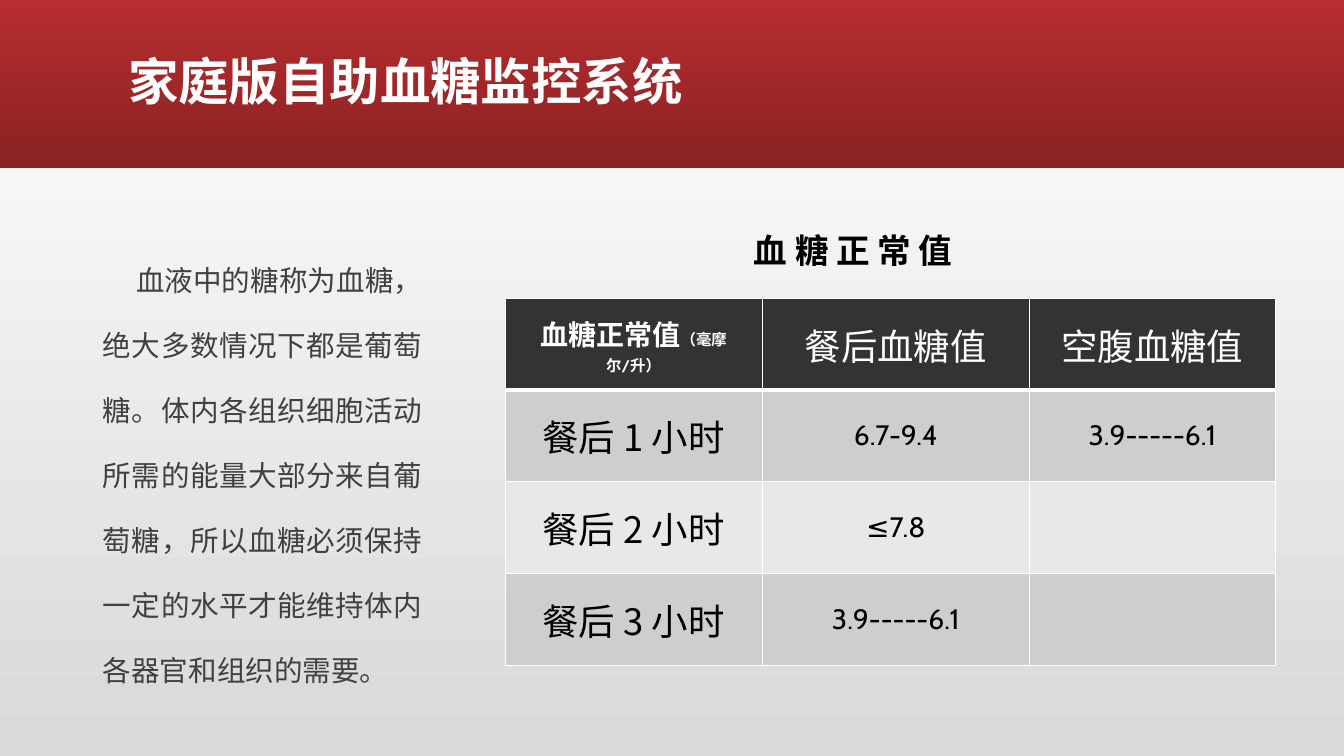
"""Build a slide on normal blood sugar values with a text column and a table."""
from lxml.etree import SubElement
from pptx import Presentation
from pptx.dml.color import RGBColor
from pptx.enum.shapes import MSO_SHAPE
from pptx.enum.text import MSO_ANCHOR, MSO_AUTO_SIZE, PP_ALIGN
from pptx.oxml.ns import qn
from pptx.util import Inches, Pt

CHINESE = "Noto Sans CJK SC"
LATIN = "Cabin"


def color(value):
    return RGBColor.from_string(value)


def style(span, size, font, value, bold=False):
    span.font.size = Pt(size)
    span.font.name = font
    span.font.bold = bold
    span.font.color.rgb = color(value)
    SubElement(span.font._element, qn("a:ea"), typeface=CHINESE)


deck = Presentation()
deck.slide_width, deck.slide_height = Inches(13.33), Inches(7.5)
page = deck.slides.add_slide(deck.slide_layouts[1])
title, body = page.placeholders

band = page.shapes.add_shape(MSO_SHAPE.RECTANGLE, 0, 0, deck.slide_width, Inches(1.67))
band.shadow.inherit = False
band.line.fill.background()
gradients = [
    (page.background.fill, ("D9D9D9", "FFFFFF"), 90),
    (band.fill, ("B82D2F", "8A2223"), 270),
]
for fill, ends, angle in gradients:
    fill.gradient()
    fill.gradient_angle = angle
    for stop, position, value in zip(fill.gradient_stops, (0, 1), ends):
        stop.position = position
        stop.color.rgb = color(value)
page.shapes.element.append(title.element)
page.shapes.element.append(body.element)

title.left, title.top, title.width, title.height = map(Inches, (1.17, 0.11, 11, 1.45))
title.text_frame.text = "家庭版自助血糖监控系统"
title.text_frame.auto_size = MSO_AUTO_SIZE.NONE
title.text_frame.vertical_anchor = MSO_ANCHOR.MIDDLE
para = title.text_frame.paragraphs[0]
para.alignment = PP_ALIGN.LEFT
para.line_spacing = 0.9
style(para.runs[0], 36, CHINESE, "FFFFFF", True)

body.left, body.top, body.width, body.height = map(Inches, (0.92, 2.25, 3.37, 5))
body.text_frame.text = (
    "血液中的糖称为血糖，绝大多数情况下都是葡萄糖。体内各组织细胞活动所需的能量大部分来自葡萄糖，"
    "所以血糖必须保持一定的水平才能维持体内各器官和组织的需要。"
)
body.text_frame.auto_size = MSO_AUTO_SIZE.NONE
para = body.text_frame.paragraphs[0]
para.alignment = PP_ALIGN.JUSTIFY
para.line_spacing = 1.9
para.space_before = Pt(18)
properties = para._p.get_or_add_pPr()
properties.set("marL", "0")
properties.set("indent", str(Inches(0.33)))
SubElement(properties, qn("a:buNone"))
style(para.runs[0], 20.4, CHINESE, "404040")

rows = [
    ("血糖正常值", "餐后血糖值", "空腹血糖值"),
    ("餐后 1 小时", "6.7-9.4", "3.9-----6.1"),
    ("餐后 2 小时", "≤7.8", ""),
    ("餐后 3 小时", "3.9-----6.1", ""),
]
row_fills = ("333333", "CECECE", "E8E8E8", "CECECE")
frame = page.shapes.add_table(4, 3, Inches(5.01), Inches(2.96), Inches(7.64), Inches(3.64))
table = frame.table
for column, width in zip(table.columns, (2.55, 2.65, 2.44)):
    column.width = Inches(width)

for row, texts in enumerate(rows):
    for column, text in enumerate(texts):
        cell = table.cell(row, column)
        cell.vertical_anchor = MSO_ANCHOR.MIDDLE
        cell.margin_left = cell.margin_right = Inches(0.15)
        cell.margin_top = cell.margin_bottom = Inches(0.07)
        for side in ("lnL", "lnR", "lnT", "lnB"):
            width = 3 if row == 0 and side == "lnB" else 1
            border = SubElement(cell._tc.get_or_add_tcPr(), qn(f"a:{side}"), w=str(Pt(width)))
            SubElement(SubElement(border, qn("a:solidFill")), qn("a:srgbClr"), val="FFFFFF")
        cell.fill.solid()
        cell.fill.fore_color.rgb = color(row_fills[row])
        if not text:
            continue
        cell.text_frame.text = text
        para = cell.text_frame.paragraphs[0]
        para.alignment = PP_ALIGN.CENTER
        ink = "FFFFFF" if row == 0 else "000000"
        corner = row == column == 0
        if corner or (row > 0 and column > 0):
            style(para.runs[0], 20, LATIN, ink, corner)
        else:
            style(para.runs[0], 26, CHINESE, ink)

unit = table.cell(0, 0).text_frame.paragraphs[0].add_run()
unit.text = "（毫摩尔/升）"
style(unit, 11, LATIN, "FFFFFF", True)

caption = page.shapes.add_textbox(Inches(7.38), Inches(2.23), Inches(2.36), Inches(0.5))
caption.text_frame.word_wrap = True
caption.text_frame.text = "血 糖 正 常 值"
style(caption.text_frame.paragraphs[0].runs[0], 24, CHINESE, "000000", True)

deck.save("out.pptx")
